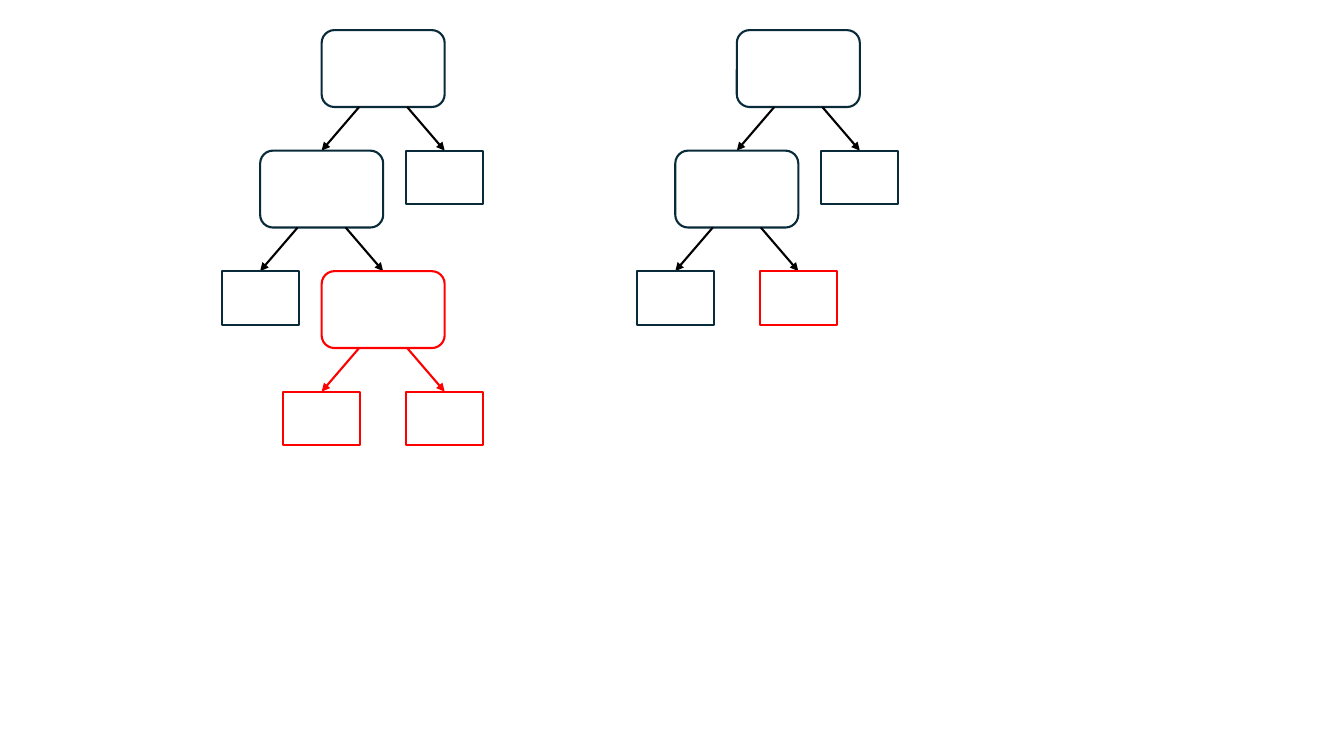
from dataclasses import dataclass

from lxml.etree import SubElement
from pptx import Presentation
from pptx.dml.color import RGBColor
from pptx.enum.shapes import MSO_CONNECTOR, MSO_SHAPE
from pptx.oxml.ns import qn
from pptx.slide import Slide
from pptx.util import Inches, Pt


@dataclass(frozen=True)
class Theme:
    paper: str = "FFFFFF"
    outline: str = "092A39"
    arrow: str = "000000"
    pruned: str = "FF0000"
    line_pt: float = 1.5


@dataclass(frozen=True)
class Node:
    col: int  # columns right of the root
    level: int
    is_split: bool = False
    is_pruned: bool = False


@dataclass(frozen=True)
class Tree:
    root_col: float
    nodes: tuple[Node, ...]


THEME = Theme()

# Grid: every length below is in columns of this width
COL = Inches(0.61)
ROW = 1.96
TOP = 0.49
SPLIT_W, SPLIT_H = 2, 1.25
LEAF_W, LEAF_H = 1.25, 0.87
ARROW_START = 0.39  # distance from the centre of a split

# The full tree, and the tree whose lowest split has become a leaf
SHARED = (
    Node(0, 0, is_split=True),
    Node(-1, 1, is_split=True),
    Node(1, 1),
    Node(-2, 2),
)
TREES = (
    Tree(6.23, SHARED + (
        Node(0, 2, is_split=True, is_pruned=True),
        Node(-1, 3, is_pruned=True),
        Node(1, 3, is_pruned=True),
    )),
    Tree(12.98, SHARED + (Node(0, 2, is_pruned=True),)),
)


def grid(*cols: float) -> list[int]:
    return [round(c * COL) for c in cols]


def set_line(sp, color: str) -> None:
    sp.line.color.rgb = RGBColor.from_string(color)
    sp.line.width = Pt(THEME.line_pt)


def add_node(s: Slide, x: float, y: float, node: Node) -> None:
    w, h = (SPLIT_W, SPLIT_H) if node.is_split else (LEAF_W, LEAF_H)
    kind = MSO_SHAPE.ROUNDED_RECTANGLE if node.is_split else MSO_SHAPE.RECTANGLE
    sp = s.shapes.add_shape(kind, *grid(x - w / 2, y, w, h))
    sp.shadow.inherit = False
    sp.fill.solid()
    sp.fill.fore_color.rgb = RGBColor.from_string(THEME.paper)
    set_line(sp, THEME.pruned if node.is_pruned else THEME.outline)


def add_branches(s: Slide, x: float, y: float, node: Node) -> None:
    for side in (-1, 1):
        ends = grid(x + side * ARROW_START, y + SPLIT_H, x + side, y + ROW)
        cxn = s.shapes.add_connector(MSO_CONNECTOR.STRAIGHT, *ends)
        set_line(cxn, THEME.pruned if node.is_pruned else THEME.arrow)
        # Arrowhead, and no shadow
        SubElement(cxn.line._get_or_add_ln(), qn("a:tailEnd"), type="triangle")
        SubElement(cxn._element.spPr, qn("a:effectLst"))


def add_tree(s: Slide, tree: Tree) -> None:
    for node in tree.nodes:
        x, y = tree.root_col + node.col, TOP + node.level * ROW
        add_node(s, x, y, node)
        if node.is_split:
            add_branches(s, x, y, node)


def main() -> None:
    prs = Presentation()
    prs.slide_width, prs.slide_height = Inches(13.33), Inches(7.5)
    s = prs.slides.add_slide(prs.slide_layouts[6])
    for tree in TREES:
        add_tree(s, tree)
    prs.save("out.pptx")


if __name__ == "__main__":
    main()
